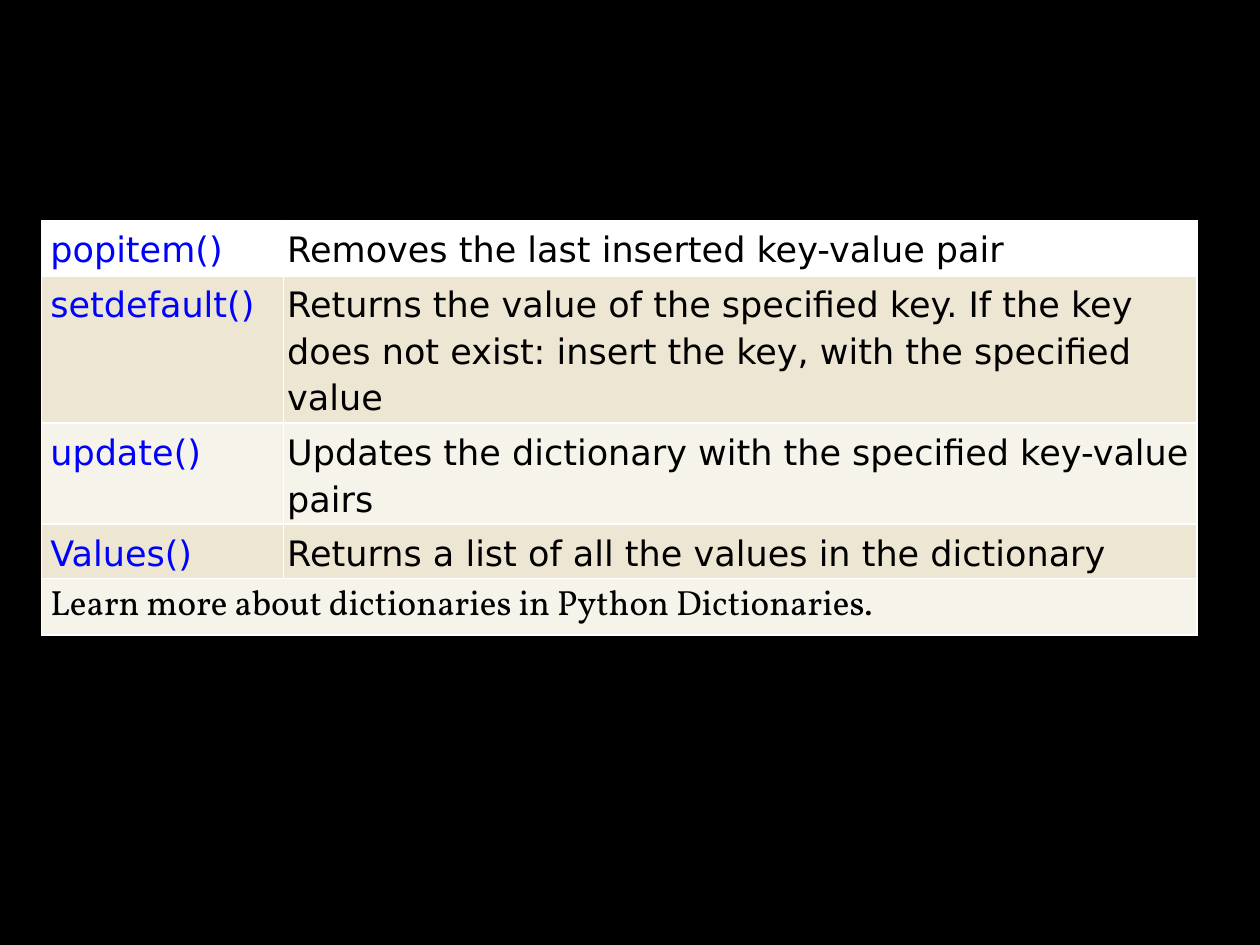
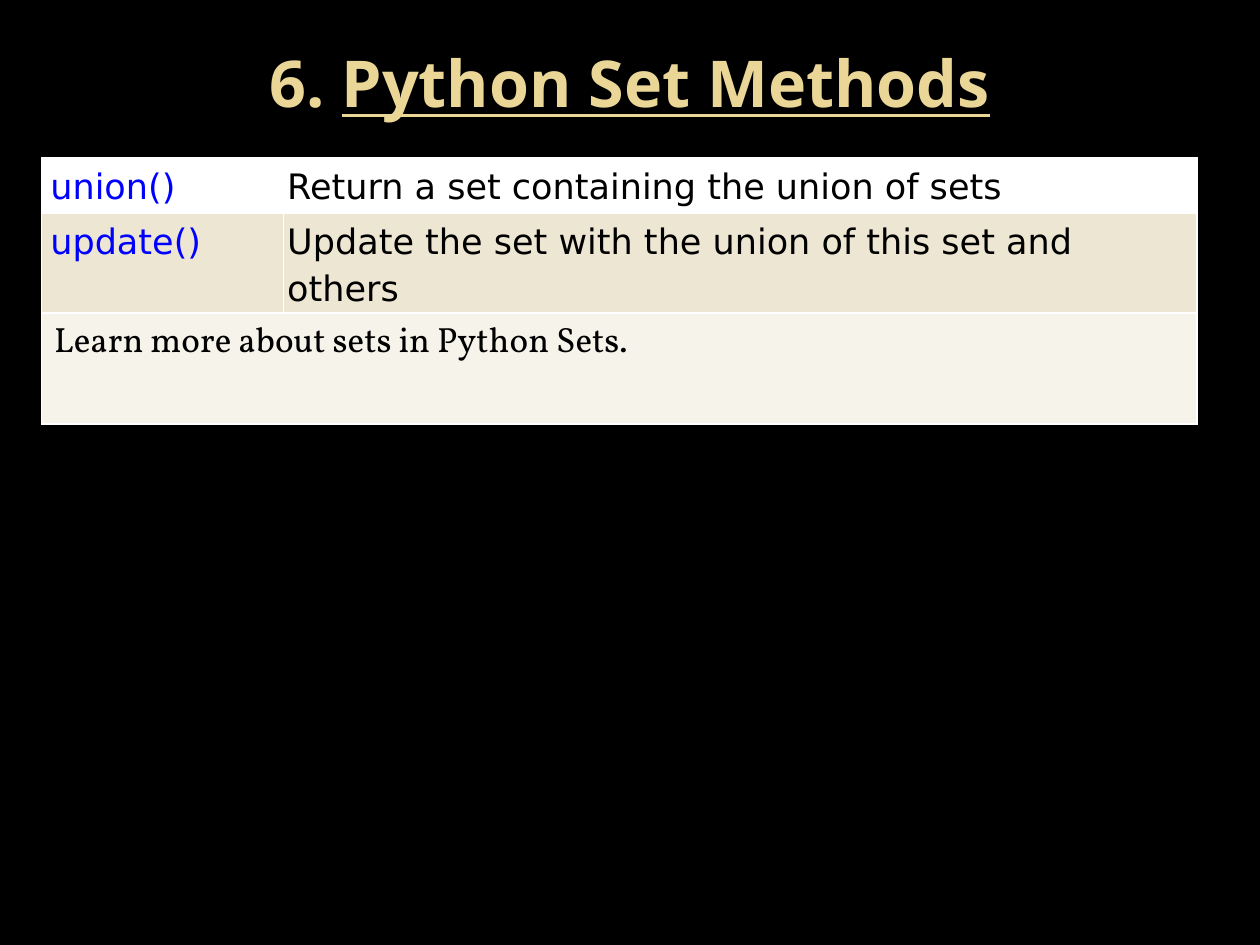
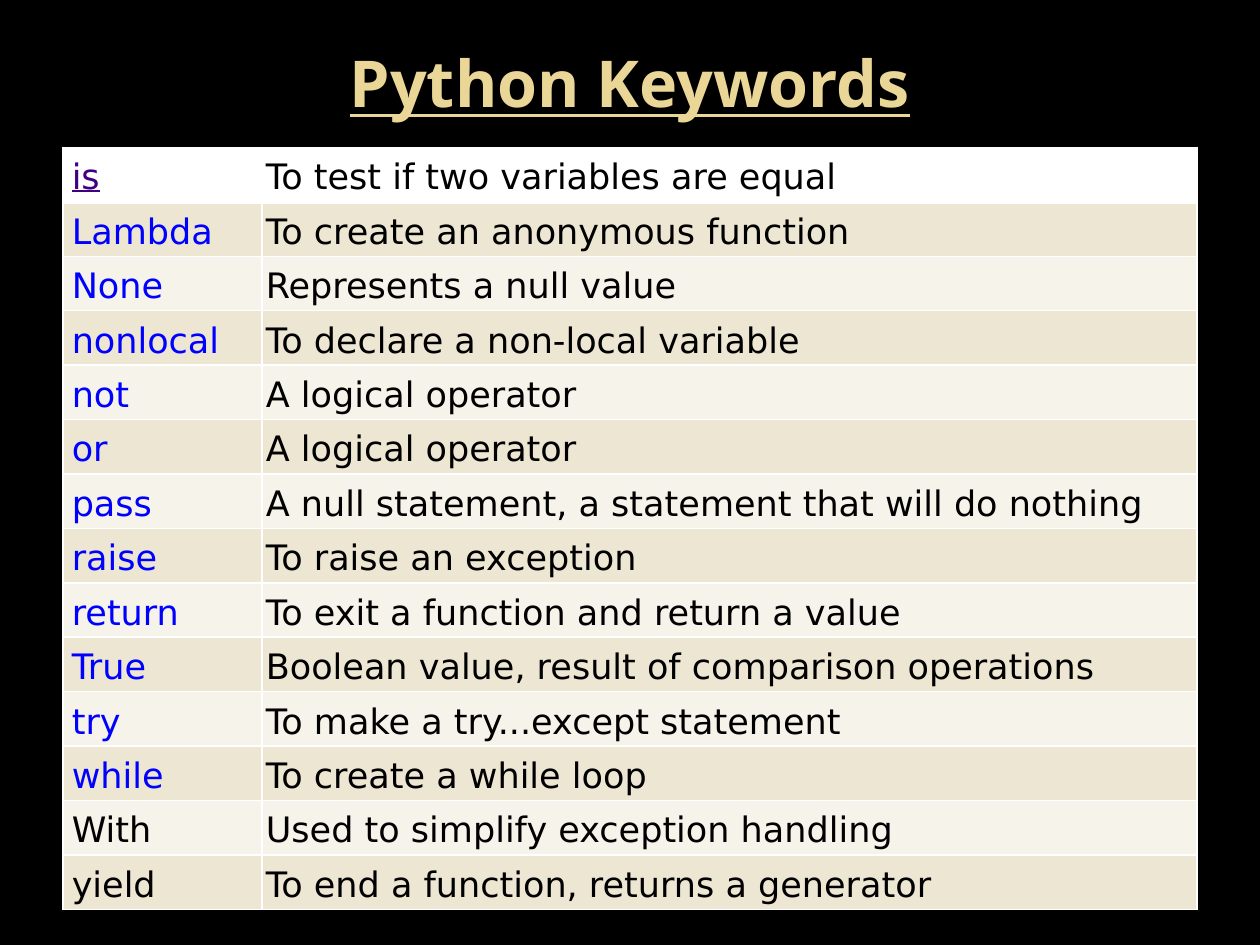
from dataclasses import dataclass

from lxml import etree
from pptx import Presentation
from pptx.dml.color import RGBColor
from pptx.enum.text import MSO_ANCHOR, MSO_AUTO_SIZE, PP_ALIGN
from pptx.oxml.ns import qn
from pptx.util import Inches, Pt

CENTER = PP_ALIGN.CENTER
MIDDLE = MSO_ANCHOR.MIDDLE
NO_AUTOFIT = MSO_AUTO_SIZE.NONE
TITLE_ONLY, BLANK = 5, 6

# Shared look
COLORS = {
    "background": "000000",
    "title": "EAD696",
    "text": "000000",
    "keyword": "0000FF",
    "visited": "410082",
    "border": "FFFFFF",
    "first_row": "FFFFFF",
    "dark_band": "EDE6D3",
    "light_band": "F6F3EA",
}
TITLE_FONT, TABLE_FONT, NOTE_FONT = "Noto Sans", "DejaVu Sans", "Vollkorn"
ROW_HEIGHT = 0.41
CELL_MARGIN, KEY_MARGIN = 0.03, 0.07


@dataclass
class Entry:
    name: str
    description: str
    color: str = "keyword"
    underline: bool = False


@dataclass
class Note:
    text: str
    height: float = ROW_HEIGHT
    left_margin: float = KEY_MARGIN
    margin: float = CELL_MARGIN


@dataclass
class ReferenceTable:
    left: float
    top: float
    height: float
    columns: tuple[float, float]
    entries: list[Entry]
    note: Note | None = None


@dataclass
class SlideContent:
    table: ReferenceTable
    title: str = ""
    title_prefix: str = ""


def rgb(name: str) -> RGBColor:
    return RGBColor.from_string(COLORS[name])


def add_text(paragraph, text: str, *, font=TABLE_FONT, size=20.0, color="text",
             bold=False, underline=False) -> None:
    run = paragraph.add_run()
    run.text = text
    run.font.name = font
    run.font.size = Pt(size)
    run.font.color.rgb = rgb(color)
    run.font.bold = bold
    run.font.underline = underline


def add_borders(cell, bottom_width: float) -> None:
    properties = cell._tc.get_or_add_tcPr()
    for side, width in (("L", 1), ("R", 1), ("T", 1), ("B", bottom_width)):
        line = etree.SubElement(properties, qn(f"a:ln{side}"), w=str(Pt(width)))
        fill = etree.SubElement(line, qn("a:solidFill"))
        etree.SubElement(fill, qn("a:srgbClr"), val=COLORS["border"])


def set_margins(cell, left: float, other: float) -> None:
    cell.margin_left = Inches(left)
    cell.margin_top = cell.margin_right = cell.margin_bottom = Inches(other)


def band_color(row_index: int) -> str:
    if row_index == 0:
        return "first_row"
    return "dark_band" if row_index % 2 else "light_band"


def add_reference_table(slide, content: ReferenceTable) -> None:
    row_count = len(content.entries) + (content.note is not None)
    shape = slide.shapes.add_table(
        row_count, 2, Inches(content.left), Inches(content.top),
        Inches(sum(content.columns)), Inches(content.height))
    table = shape.table
    table.first_row = table.horz_banding = False
    for column, width in zip(table.columns, content.columns):
        column.width = Inches(width)

    # Bands and borders
    for row_index, row in enumerate(table.rows):
        row.height = Inches(ROW_HEIGHT)
        for cell in row.cells:
            add_borders(cell, bottom_width=1 if row_index else 3)
            cell.fill.solid()
            cell.fill.fore_color.rgb = rgb(band_color(row_index))

    # Names and descriptions
    for row_index, entry in enumerate(content.entries):
        name_cell, description_cell = table.rows[row_index].cells
        set_margins(name_cell, KEY_MARGIN, CELL_MARGIN)
        set_margins(description_cell, CELL_MARGIN, CELL_MARGIN)
        for cell in (name_cell, description_cell):
            cell.text_frame.paragraphs[0].line_spacing = 1.15
        add_text(name_cell.text_frame.paragraphs[0], entry.name,
                 color=entry.color, underline=entry.underline)
        add_text(description_cell.text_frame.paragraphs[0], entry.description)

    # Closing note across both columns
    if content.note:
        last = row_count - 1
        cell = table.cell(last, 0)
        cell.merge(table.cell(last, 1))
        set_margins(cell, content.note.left_margin, content.note.margin)
        add_text(cell.text_frame.paragraphs[0], content.note.text, font=NOTE_FONT)
        table.rows[last].height = Inches(content.note.height)
    shape.height = Inches(content.height)


def format_title(slide, content: SlideContent) -> None:
    title = slide.shapes.title
    title.left, title.top = Inches(0.5), Inches(0.3)
    title.width, title.height = Inches(9), Inches(0.7)
    frame = title.text_frame
    frame.auto_size = NO_AUTOFIT
    frame.vertical_anchor = MIDDLE
    paragraph = frame.paragraphs[0]
    paragraph.alignment = CENTER
    for text, underline in ((content.title_prefix, False), (content.title, True)):
        if text:
            add_text(paragraph, text, font=TITLE_FONT, size=36.9, color="title",
                     bold=True, underline=underline)


def add_slide(presentation, content: SlideContent) -> None:
    layout = presentation.slide_layouts[TITLE_ONLY if content.title else BLANK]
    slide = presentation.slides.add_slide(layout)
    slide.background.fill.solid()
    slide.background.fill.fore_color.rgb = rgb("background")
    if content.title:
        format_title(slide, content)
    add_reference_table(slide, content.table)


# Slide contents
METHOD_COLUMNS = (1.92, 7.25)
SLIDES = [
    SlideContent(ReferenceTable(0.33, 1.75, 3.36, METHOD_COLUMNS, [
        Entry("popitem()", "Removes the last inserted key-value pair"),
        Entry("setdefault()", "Returns the value of the specified key. If the key "
              "does not exist: insert the key, with the specified value"),
        Entry("update()", "Updates the dictionary with the specified key-value pairs"),
        Entry("Values()", "Returns a list of all the values in the dictionary"),
    ], Note("Learn more about dictionaries in Python Dictionaries."))),
    SlideContent(ReferenceTable(0.33, 1.25, 2.05, METHOD_COLUMNS, [
        Entry("union()", "Return a set containing the union of sets"),
        Entry("update()", "Update the set with the union of this set and others"),
    ], Note("Learn more about sets in Python Sets.", 0.88, 0.1, 0.05)),
        title="Python Set Methods", title_prefix="6. "),
    SlideContent(ReferenceTable(0.5, 1.17, 6.22, (1.58, 7.42), [
        Entry("is", "To test if two variables are equal", "visited", True),
        Entry("Lambda", "To create an anonymous function"),
        Entry("None", "Represents a null value"),
        Entry("nonlocal", "To declare a non-local variable"),
        Entry("not", "A logical operator"),
        Entry("or", "A logical operator"),
        Entry("pass", "A null statement, a statement that will do nothing"),
        Entry("raise", "To raise an exception"),
        Entry("return", "To exit a function and return a value"),
        Entry("True", "Boolean value, result of comparison operations"),
        Entry("try", "To make a try...except statement"),
        Entry("while", "To create a while loop"),
        Entry("With", "Used to simplify exception handling", "text"),
        Entry("yield", "To end a function, returns a generator", "text"),
    ]), title="Python Keywords"),
]


def main() -> None:
    presentation = Presentation()
    presentation.slide_width = Inches(10)
    presentation.slide_height = Inches(7.5)
    for content in SLIDES:
        add_slide(presentation, content)
    presentation.save("out.pptx")


if __name__ == "__main__":
    main()
